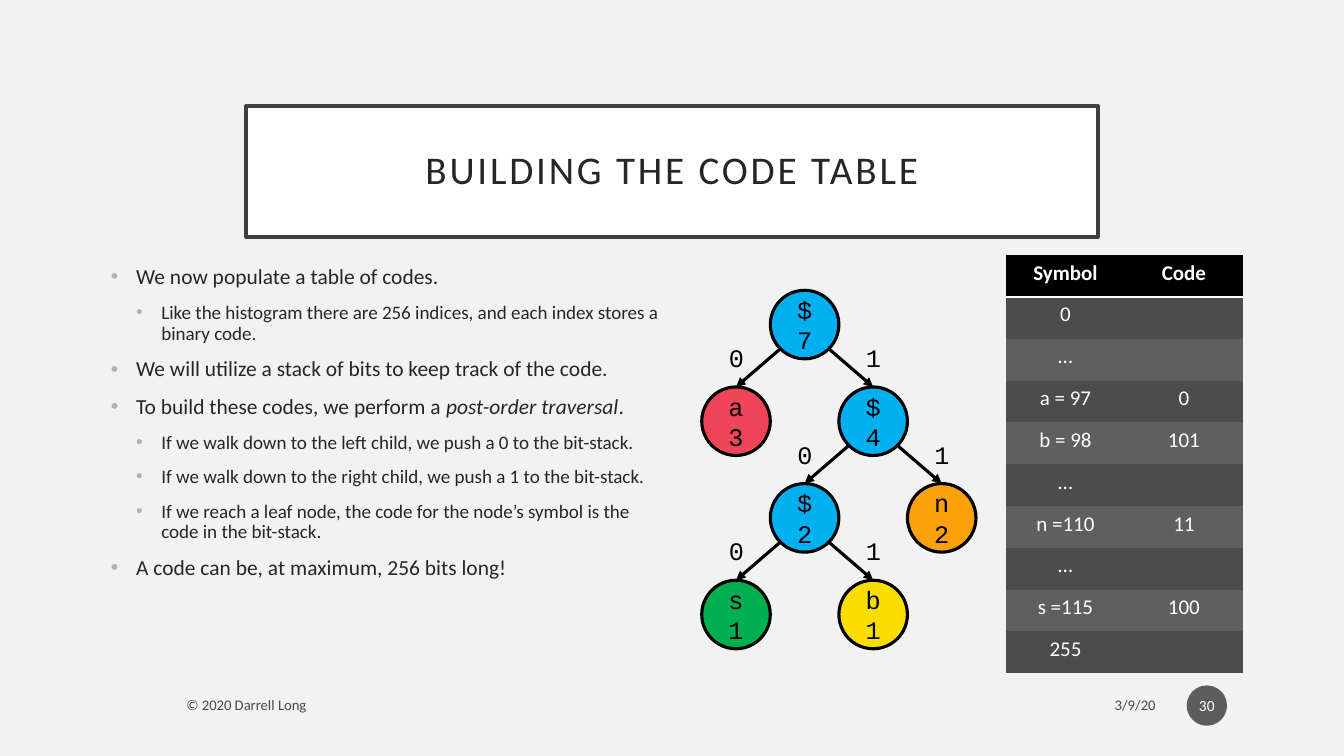
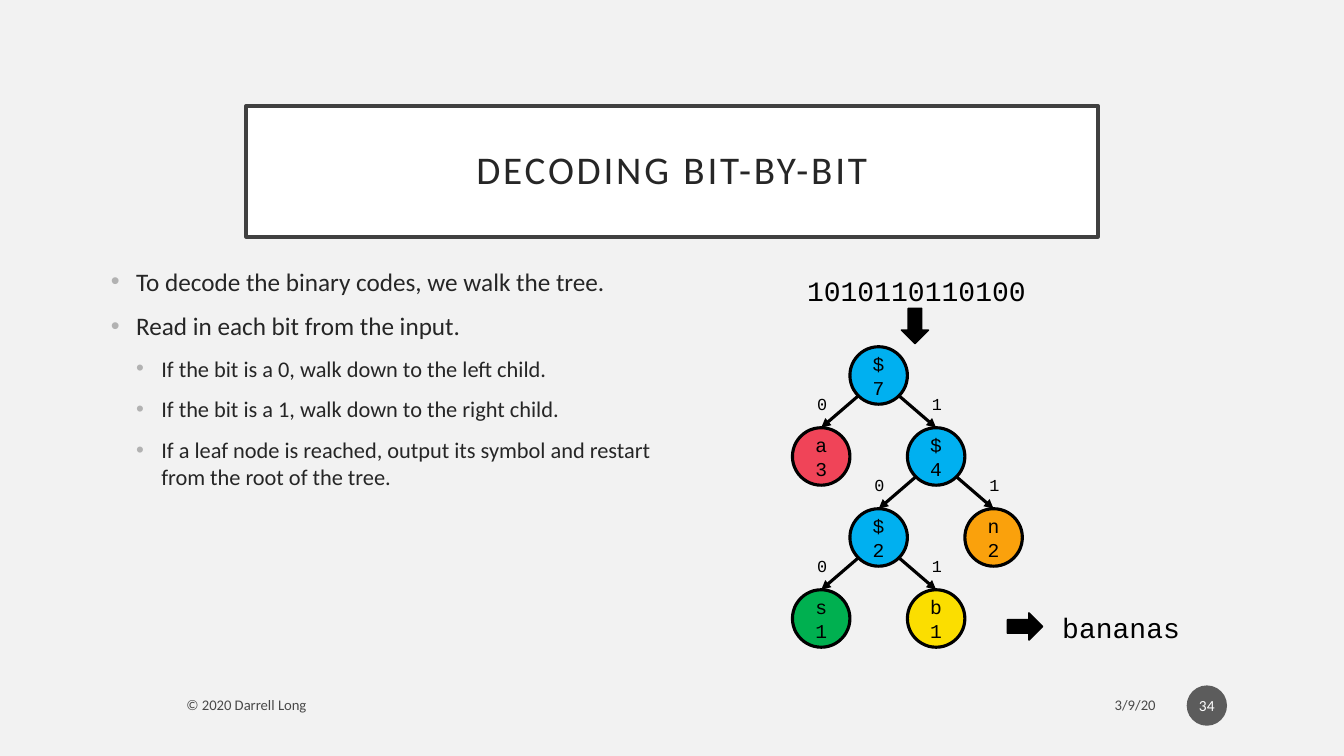
from math import cos, pi

from lxml import etree
from pptx import Presentation
from pptx.dml.color import RGBColor
from pptx.enum.shapes import MSO_CONNECTOR, MSO_SHAPE
from pptx.enum.text import MSO_ANCHOR, MSO_AUTO_SIZE, PP_ALIGN
from pptx.oxml.ns import qn
from pptx.util import Inches, Pt

LEFT, CENTER, RIGHT = PP_ALIGN.LEFT, PP_ALIGN.CENTER, PP_ALIGN.RIGHT
TOP, MIDDLE = MSO_ANCHOR.TOP, MSO_ANCHOR.MIDDLE
RECT, OVAL, DOWN_ARROW = MSO_SHAPE.RECTANGLE, MSO_SHAPE.OVAL, MSO_SHAPE.DOWN_ARROW
STRAIGHT = MSO_CONNECTOR.STRAIGHT
FIXED_SIZE = MSO_AUTO_SIZE.NONE

BLACK = RGBColor(0x00, 0x00, 0x00)
WHITE = RGBColor(0xFF, 0xFF, 0xFF)
PAPER = RGBColor(0xF2, 0xF2, 0xF2)
INK = RGBColor(0x26, 0x26, 0x26)
FRAME = RGBColor(0x40, 0x40, 0x40)
BADGE = RGBColor(0x1D, 0x1D, 0x1D)
BAND_DARK = RGBColor(0x4C, 0x4C, 0x4C)
BAND_LIGHT = RGBColor(0x5F, 0x5F, 0x5F)
BLUE = RGBColor(0x00, 0xB0, 0xF0)
RED = RGBColor(0xF0, 0x44, 0x58)
ORANGE = RGBColor(0xFA, 0xA1, 0x0C)
YELLOW = RGBColor(0xFB, 0xDE, 0x00)
GREEN = RGBColor(0x00, 0xB0, 0x50)
BULLET = "B2B2B2"

SANS, MONO = "Calibri", "Courier New"
NO_TABLE_STYLE = "{2D5ABB26-0587-4C30-8999-92F81FD0307C}"

# Huffman tree: text, column, row, colour
NODES = {
    "root": ("$ 7", 1, 0, BLUE),
    "a": ("a 3", 0, 1, RED),
    "inner4": ("$ 4", 2, 1, BLUE),
    "inner2": ("$ 2", 1, 2, BLUE),
    "n": ("n 2", 3, 2, ORANGE),
    "s": ("s 1", 0, 3, GREEN),
    "b": ("b 1", 2, 3, YELLOW),
}
CHILDREN = {"root": ("a", "inner4"), "inner4": ("inner2", "n"), "inner2": ("s", "b")}

TABLE_ITEMS = [
    (0, "We now populate a table of codes."),
    (1, "Like the histogram there are 256 indices, and each index stores a binary code."),
    (0, "We will utilize a stack of bits to keep track of the code."),
    (0, "To build these codes, we perform a ", "post-order traversal", "."),
    (1, "If we walk down to the left child, we push a 0 to the bit-stack."),
    (1, "If we walk down to the right child, we push a 1 to the bit-stack."),
    (1, "If we reach a leaf node, the code for the node’s symbol is the code in the bit-stack."),
    (0, "A code can be, at maximum, 256 bits long!"),
]
CODES = [("Symbol", "Code"), ("0", ""), ("…", ""), ("a = 97", "0"), ("b = 98", "101"),
         ("…", ""), ("n =110", "11"), ("…", ""), ("s =115", "100"), ("255", "")]
DECODE_ITEMS = [
    (0, "To decode the binary codes, we walk the tree."),
    (0, "Read in each bit from the input."),
    (1, "If the bit is a 0, walk down to the left child."),
    (1, "If the bit is a 1, walk down to the right child."),
    (1, "If a leaf node is reached, output its symbol and restart from the root of the tree."),
]


def fade(element):
    """Make every colour inside the element 70% opaque."""
    for color in element.iter(qn("a:srgbClr")):
        etree.SubElement(color, qn("a:alpha"), val="70000")


def place(s, x, y, w, h):
    s.left, s.top, s.width, s.height = (Inches(v) for v in (x, y, w, h))


class Deck:
    def __init__(self):
        self.prs = Presentation()
        self.prs.slide_width, self.prs.slide_height = Inches(13.33), Inches(7.5)
        fill = self.prs.slide_master.background.fill
        fill.solid()
        fill.fore_color.rgb = PAPER
        self.slide = None

    def new_slide(self, title, number):
        self.slide = self.prs.slides.add_slide(self.prs.slide_layouts[1])
        self.title(title)
        self.footer(number)

    def run(self, p, text, size, font=SANS, color=BLACK, bold=False, italic=False):
        r = p.add_run()
        r.text = text
        r.font.name, r.font.size = font, Pt(size)
        r.font.color.rgb = color
        r.font.bold, r.font.italic = bold, italic
        return r

    def paint(self, s, fill, line=None, width=1):
        s.fill.solid()
        s.fill.fore_color.rgb = fill
        if line is None:
            s.line.fill.background()
        else:
            s.line.color.rgb = line
            s.line.width = Pt(width)

    def title(self, text):
        s = self.slide.shapes.title
        place(s, 2.44, 1.05, 8.45, 1.3)
        self.paint(s, WHITE, FRAME, 2.5)
        tf = s.text_frame
        tf.auto_size = FIXED_SIZE
        tf.vertical_anchor = MIDDLE
        tf.margin_left = tf.margin_right = tf.margin_top = tf.margin_bottom = Inches(0.2)
        p = tf.paragraphs[0]
        p.alignment = CENTER
        p.line_spacing = 0.9
        r = self.run(p, text, 28, color=INK)
        r.font._element.set("spc", "200")

    def bullets(self, items, sizes, spacing):
        """Fill the body; each item is a level and runs, every second run italic."""
        s = self.slide.placeholders[1]
        place(s, 1, 2.59, 5.67, 3.74)
        tf = s.text_frame
        tf.auto_size = FIXED_SIZE
        for i, (level, *texts) in enumerate(items):
            p = tf.add_paragraph() if i else tf.paragraphs[0]
            p.level = level
            pPr = p._p.get_or_add_pPr()
            pPr.set("marL", str(Inches(0.25 * (level + 1))))
            pPr.set("indent", str(-Inches(0.25)))
            color = etree.SubElement(pPr, qn("a:buClr"))
            etree.SubElement(color, qn("a:srgbClr"), val=BULLET)
            etree.SubElement(pPr, qn("a:buFont"), typeface="Arial")
            etree.SubElement(pPr, qn("a:buChar"), char="•")
            p.space_before = Pt(10 if i else 0)
            p.line_spacing = spacing
            for j, text in enumerate(texts):
                self.run(p, text, sizes[level], color=INK, italic=j % 2 == 1)

    def text(self, text, x, y, w, h, size, font=MONO, align=CENTER, anchor=TOP):
        s = self.slide.shapes.add_textbox(Inches(x), Inches(y), Inches(w), Inches(h))
        tf = s.text_frame
        tf.word_wrap = True
        tf.vertical_anchor = anchor
        p = tf.paragraphs[0]
        p.alignment = align
        return self.run(p, text, size, font)

    def shape(self, kind, x, y, w, h, fill, line=None, width=1):
        s = self.slide.shapes.add_shape(kind, Inches(x), Inches(y), Inches(w), Inches(h))
        s.shadow.inherit = False
        self.paint(s, fill, line, width)
        return s

    def disc(self, text, x, y, size, fill, text_size, font=MONO, color=BLACK, line=None):
        s = self.shape(OVAL, x, y, size, size, fill, line, 2.25)
        tf = s.text_frame
        tf.word_wrap = True
        tf.vertical_anchor = MIDDLE
        p = tf.paragraphs[0]
        p.alignment = CENTER
        self.run(p, text, text_size, font, color)
        return s

    def block_arrow(self, x, y, rotation=0):
        s = self.shape(DOWN_ARROW, x, y, 0.27, 0.35, BLACK, BLACK)
        s.rotation = rotation

    def edge(self, x1, y1, x2, y2):
        c = self.slide.shapes.add_connector(
            STRAIGHT, Inches(x1), Inches(y1), Inches(x2), Inches(y2))
        c.line.color.rgb = BLACK
        c.line.width = Pt(2.25)
        spPr = c._element.spPr
        etree.SubElement(spPr.find(qn("a:ln")), qn("a:tailEnd"), type="triangle")
        etree.SubElement(spPr, qn("a:effectLst"))

    def tree(self, left, top, size, text_size, label_size, label_w, label_h):
        """Draw the tree on a grid whose columns are one node wide."""
        at = {}
        for name, (text, col, row, color) in NODES.items():
            x, y = left + col * size, top + row * size * 1.41
            at[name] = x, y
            self.disc(text, x, y, size, color, text_size, line=BLACK)
        half = size / 2
        reach = half * cos(pi / 4)
        for parent, children in CHILDREN.items():
            px, py = at[parent]
            for bit, child in enumerate(children):
                x, y = at[child]
                side = reach if bit else -reach
                self.edge(px + half + side, py + half + reach, x + half, y)
                self.text(str(bit), x + half - label_w / 2, y - label_h - 0.09,
                          label_w, label_h, label_size)

    def table(self, rows, x, y, w, h):
        frame = self.slide.shapes.add_table(
            len(rows), len(rows[0]), Inches(x), Inches(y), Inches(w), Inches(h))
        table = frame.table
        table._tbl.tblPr.find(qn("a:tableStyleId")).text = NO_TABLE_STYLE
        for i, row in enumerate(rows):
            for j, text in enumerate(row):
                cell = table.cell(i, j)
                cell.fill.solid()
                band = BAND_DARK if i % 2 else BAND_LIGHT
                cell.fill.fore_color.rgb = band if i else BLACK
                if i == 0:
                    self.bottom_border(cell)
                if text:
                    p = cell.text_frame.paragraphs[0]
                    p.alignment = CENTER
                    self.run(p, text, 15, color=WHITE, bold=i == 0)

    def bottom_border(self, cell):
        ln = etree.Element(qn("a:lnB"), w=str(Pt(2)))
        fill = etree.SubElement(ln, qn("a:solidFill"))
        etree.SubElement(fill, qn("a:srgbClr"), val=str(WHITE))
        cell._tc.get_or_add_tcPr().insert(0, ln)

    def footer(self, number):
        for text, x, w, align in (("3/9/20", 8.55, 3.01, RIGHT),
                                  ("© 2020 Darrell Long", 1.75, 6.45, LEFT)):
            r = self.text(text, x, 6.82, w, 0.35, 10.5, SANS, align, MIDDLE)
            fade(r._r)
        s = self.disc(number, 11.77, 6.8, 0.4, BADGE, 11, SANS, WHITE)
        s.text_frame.margin_left = s.text_frame.margin_right = Inches(0.02)
        fade(s._element.spPr)


def main():
    deck = Deck()

    deck.new_slide("BUILDING THE CODE TABLE", "30")
    deck.bullets(TABLE_ITEMS, (15.3, 13.6), 0.9)
    deck.table(CODES, 9.98, 2.53, 2.35, 4.15)
    deck.tree(6.96, 2.88, 0.68, 18, 18, 0.34, 0.4)

    deck.new_slide("DECODING BIT-BY-BIT", "34")
    deck.bullets(DECODE_ITEMS, (18, 16), 1.0)
    deck.tree(7.86, 3.44, 0.57, 14, 12, 0.28, 0.3)
    deck.text("1010110110100", 7.89, 2.66, 2.4, 0.44, 20)
    deck.block_arrow(8.94, 3.06)
    deck.block_arrow(10.03, 6.04, 270)
    deck.text("bananas", 9.92, 6.01, 2.4, 0.44, 20)

    deck.prs.save("out.pptx")


if __name__ == "__main__":
    main()
